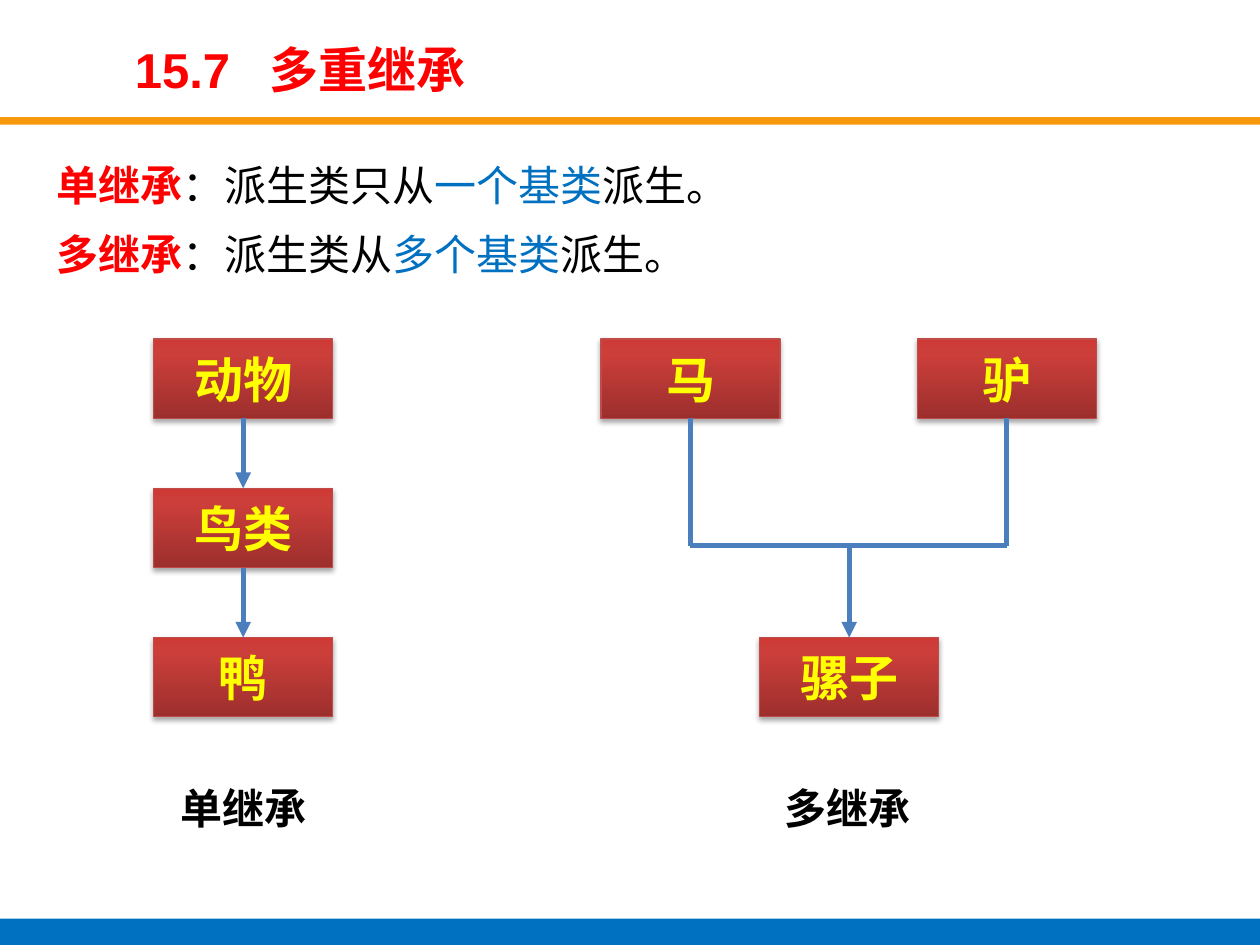
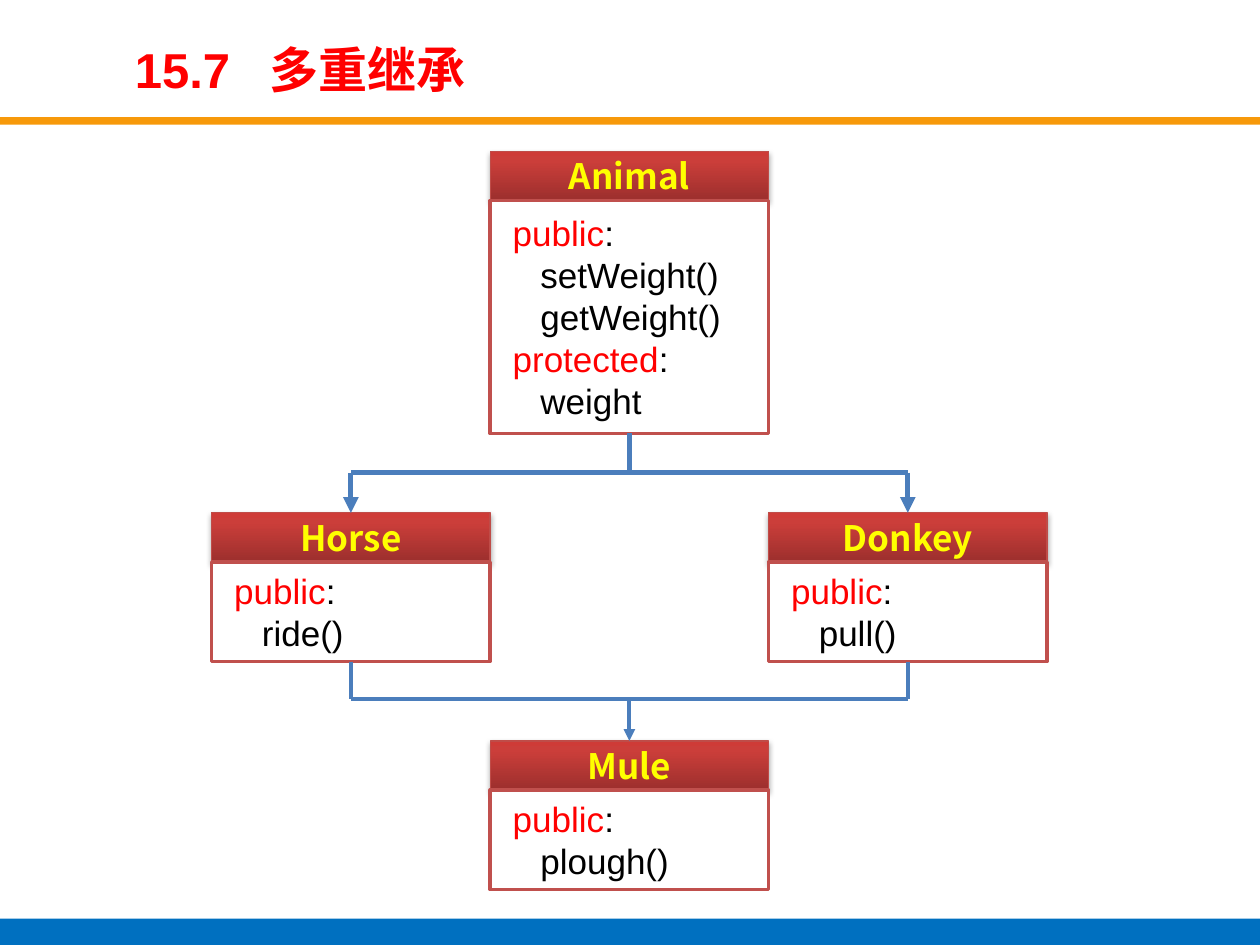
from copy import deepcopy

from lxml import etree
from pptx import Presentation
from pptx import util as u
from pptx.dml.color import RGBColor
from pptx.enum import shapes, text
from pptx.oxml.ns import qn

COLORS = {
    "orange": "F7990A",
    "blue": "0070C0",
    "red": "FF0000",
    "yellow": "FFFF00",
    "black": "000000",
    "white": "FFFFFF",
    "box_line": "BF4C48",
    "card_line": "C0504D",
    "link": "4B7EBC",
}
GRADIENT = [(0, "9C2F2D"), (0.8, "CB3E3A"), (1, "CE3B37")]
LATIN, CJK = "Arial", "Noto Sans CJK SC"
TITLE = "15.7\t多重继承"
BOX_WIDTH, BOX_HEIGHT = 1.42, 0.63
CARD_WIDTH, HEADER_HEIGHT = 2.21, 0.39


def rgb(name):
    return RGBColor.from_string(COLORS[name])


def place(left, top, width, height):
    return [u.Inches(value) for value in (left, top, width, height)]


def style_font(font, size, name, color=None, bold=False):
    font.size, font.name, font.bold = u.Pt(size), name, bold
    if color:
        font.color.rgb = rgb(color)


def add_spans(para, spans):
    for words, color, bold in spans:
        span = para.add_run()
        span.text = words
        span.font.color.rgb = rgb(color)
        span.font.bold = bold


def add_rect(parent, area, fill=None, line=None, width=0.75):
    box = parent.shapes.add_shape(shapes.MSO_SHAPE.RECTANGLE, *place(*area))
    box.shadow.inherit = False
    if fill:
        box.fill.solid()
        box.fill.fore_color.rgb = rgb(fill)
    if line:
        box.line.color.rgb = rgb(line)
        box.line.width = u.Pt(width)
    else:
        box.line.fill.background()
    return box


def add_page(deck):
    page = deck.slides.add_slide(deck.slide_layouts[5])
    add_rect(page, (0, 0.93, 10, 0.06), "orange")
    add_rect(page, (0, 7.29, 10, 0.21), "blue")
    title = page.shapes.title
    title.left, title.top, title.width, title.height = place(0.97, 0.27, 6.86, 0.55)
    frame = title.text_frame
    frame.text = TITLE
    frame.auto_size = text.MSO_AUTO_SIZE.NONE
    frame.vertical_anchor = text.MSO_ANCHOR.MIDDLE
    para = frame.paragraphs[0]
    para.alignment = text.PP_ALIGN.LEFT
    stops = etree.SubElement(para._p.get_or_add_pPr(), qn("a:tabLst"))
    etree.SubElement(stops, qn("a:tab"), pos=str(u.Inches(1.07)), algn="l")
    style_font(para.font, 28, LATIN, "red", True)
    return page


def shade(box):
    box.fill.gradient()
    box.fill.gradient_angle = 90
    properties = box._element.spPr
    stops = properties.find(".//" + qn("a:gsLst"))
    stops.append(deepcopy(stops[0]))
    for stop, (position, color) in zip(box.fill.gradient_stops, GRADIENT):
        stop.position = position
        stop.color.rgb = RGBColor.from_string(color)
    shadow = etree.SubElement(
        properties.find(qn("a:effectLst")), qn("a:outerShdw"),
        blurRad=str(u.Pt(3.1)), dist=str(u.Pt(1.8)), dir="5400000", rotWithShape="0")
    tint = etree.SubElement(shadow, qn("a:srgbClr"), val=COLORS["black"])
    etree.SubElement(tint, qn("a:alpha"), val="35000")


def add_label_box(parent, label, area, size):
    box = add_rect(parent, area, line="box_line")
    shade(box)
    frame = box.text_frame
    frame.text = label
    frame.vertical_anchor = text.MSO_ANCHOR.MIDDLE
    para = frame.paragraphs[0]
    para.alignment = text.PP_ALIGN.CENTER
    style_font(para.font, size, CJK, "yellow", True)
    return box


def add_kind(page, label, center, top):
    area = (center - BOX_WIDTH / 2, top, BOX_WIDTH, BOX_HEIGHT)
    return add_label_box(page, label, area, 28)


def add_card(page, name, left, top, height, members):
    group = page.shapes.add_group_shape()
    header = add_label_box(group, name, (left, top, CARD_WIDTH, HEADER_HEIGHT), 20)
    area = (left, top + HEADER_HEIGHT, CARD_WIDTH, height)
    body = add_rect(group, area, "white", "card_line", 2)
    frame = body.text_frame
    frame.word_wrap = True
    frame.vertical_anchor = text.MSO_ANCHOR.MIDDLE
    for index, member in enumerate(members):
        para = frame.paragraphs[0] if index == 0 else frame.add_paragraph()
        para.alignment = text.PP_ALIGN.LEFT
        access = member.endswith(":")
        para._p.get_or_add_pPr().set("marL", str(u.Inches(0.08 if access else 0.3)))
        style_font(para.font, 20, LATIN)
        if access:
            add_spans(para, [(member[:-1], "red", False), (":", "black", False)])
        else:
            add_spans(para, [(member, "black", False)])
    return header, body


def add_link(page, start, end, width=3, arrow=False, source=None, target=None):
    link = page.shapes.add_connector(shapes.MSO_CONNECTOR.STRAIGHT, *start, *end)
    if source is not None:
        link.begin_connect(source, 2)
    if target is not None:
        link.end_connect(target, 0)
    link.line.color.rgb = rgb("link")
    link.line.width = u.Pt(width)
    if arrow:
        etree.SubElement(link.line._get_or_add_ln(), qn("a:tailEnd"), type="triangle")
    etree.SubElement(link._element.spPr, qn("a:effectLst"))


def middle(box):
    return box.left + box.width // 2


def join_down(page, source, target):
    start = (middle(source), source.top + source.height)
    add_link(page, start, (middle(target), target.top), 3, True, source, target)


def join_by_bus(page, sources, targets, level, width=3):
    level = u.Inches(level)
    for box in sources:
        start = (middle(box), box.top + box.height)
        add_link(page, start, (middle(box), level), width, source=box)
    for box in targets:
        add_link(page, (middle(box), level), (middle(box), box.top), width, True, target=box)
    centers = [middle(box) for box in sources + targets]
    add_link(page, (min(centers), level), (max(centers), level), width)


def add_definitions(page, definitions):
    frame = page.shapes.add_textbox(*place(0.35, 1.14, 9.29, 1.25)).text_frame
    frame.word_wrap = True
    for index, (term, lead, count, rest) in enumerate(definitions):
        para = frame.paragraphs[0] if index == 0 else frame.add_paragraph()
        para.alignment = text.PP_ALIGN.JUSTIFY
        para.line_spacing = 1.2
        para.space_before = u.Pt(4.8)
        style_font(para.font, 24, LATIN)
        add_spans(para, [(term, "red", True), (lead, "black", False),
                         (count, "blue", False), (rest, "black", False)])


def add_caption(page, words, center):
    frame = page.shapes.add_textbox(*place(center - 0.67, 6.16, 1.34, 0.5)).text_frame
    frame.word_wrap = True
    frame.text = words
    para = frame.paragraphs[0]
    para.alignment = text.PP_ALIGN.CENTER
    style_font(para.font, 24, CJK, "black", True)


def build_concepts(deck):
    page = add_page(deck)
    add_definitions(page, [
        ("单继承", "：派生类只从", "一个基类", "派生。"),
        ("多继承", "：派生类从", "多个基类", "派生。"),
    ])
    tops = [2.69 + 1.185 * row for row in range(3)]
    chain = [add_kind(page, label, 1.93, top)
             for label, top in zip(("动物", "鸟类", "鸭"), tops)]
    for source, target in zip(chain, chain[1:]):
        join_down(page, source, target)
    horse = add_kind(page, "马", 5.48, tops[0])
    donkey = add_kind(page, "驴", 7.99, tops[0])
    mule = add_kind(page, "骡子", 6.74, tops[2])
    join_by_bus(page, [horse, donkey], [mule], 4.33)
    add_caption(page, "单继承", 1.93)
    add_caption(page, "多继承", 6.73)


def build_classes(deck):
    page = add_page(deck)
    left, center, right = [1.68 + CARD_WIDTH * column for column in range(3)]
    animal = add_card(page, "Animal", center, 1.2, 1.85, [
        "public:", "setWeight()", "getWeight()", "protected:", "weight"])
    horse = add_card(page, "Horse", left, 4.07, 0.79, ["public:", "ride()"])
    donkey = add_card(page, "Donkey", right, 4.07, 0.79, ["public:", "pull()"])
    mule = add_card(page, "Mule", center, 5.88, 0.79, ["public:", "plough()"])
    join_by_bus(page, [animal[1]], [horse[0], donkey[0]], 3.75)
    join_by_bus(page, [horse[1], donkey[1]], [mule[0]], 5.55, 2.25)


def main():
    deck = Presentation()
    deck.slide_width, deck.slide_height = u.Inches(10), u.Inches(7.5)
    build_concepts(deck)
    build_classes(deck)
    deck.save("out.pptx")


if __name__ == "__main__":
    main()
